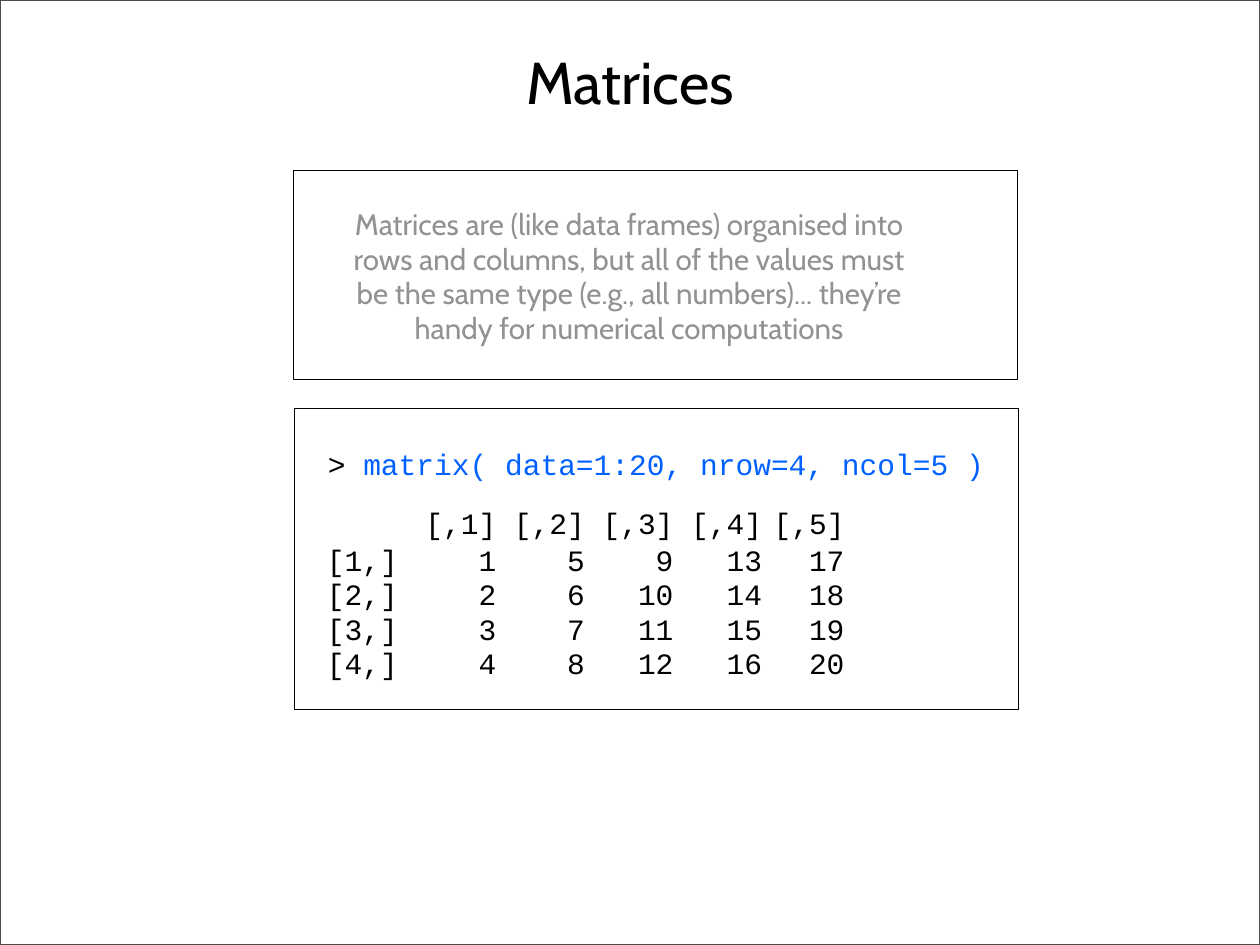
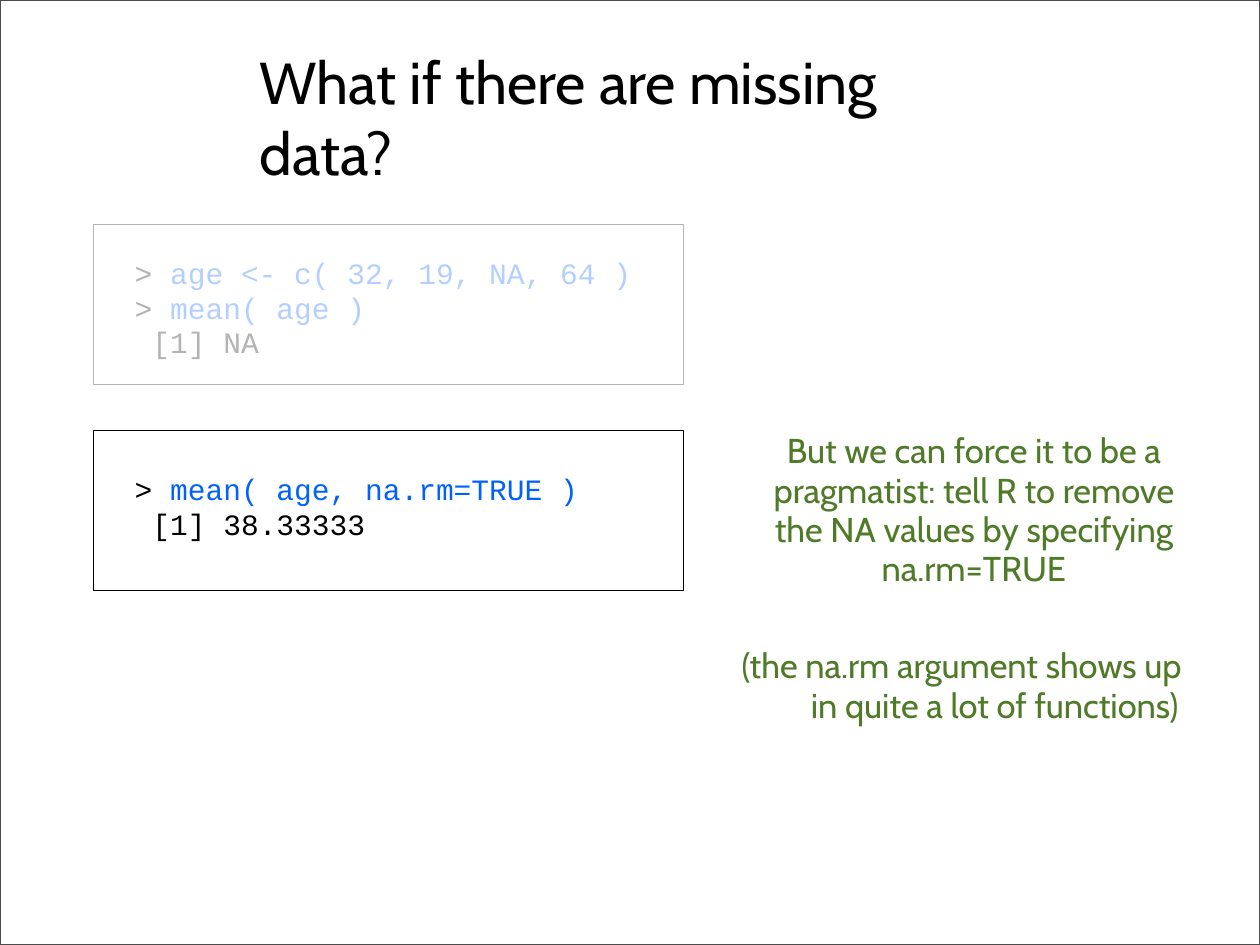
from lxml.etree import SubElement
from pptx import Presentation
from pptx.dml.color import RGBColor
from pptx.enum.shapes import MSO_SHAPE
from pptx.enum.text import PP_ALIGN
from pptx.oxml.ns import qn
from pptx.util import Inches, Pt

COLOURS = {
    "ink": "000000",
    "command": "0061FF",
    "muted": "929292",
    "note": "4F7A28",
    "edge": "4C4C4C",
    "paper": "FFFFFF",
}
BODY_FONT = "Cabin"
CODE_FONT = "Courier New"
WIDTH, HEIGHT = 14.22, 10.67


class Deck:
    """Hold the lecture style and the slide being built."""

    def __init__(self):
        self.presentation = Presentation()
        self.presentation.slide_width = Inches(WIDTH)
        self.presentation.slide_height = Inches(HEIGHT)
        self.slide = None

    def new_slide(self, title, align=PP_ALIGN.LEFT, left=2.93):
        self.slide = self.presentation.slides.add_slide(self.presentation.slide_layouts[6])
        self.frame(0, 0, WIDTH, HEIGHT, "edge", 1)
        self.text(left, 0.51, 8.2, 0.81, title, 48, "ink", align)

    def frame(self, left, top, width, height, colour="ink", weight=0.75):
        frame = self.rectangle(left, top, width, height)
        frame.fill.background()
        frame.line.color.rgb = RGBColor.from_string(COLOURS[colour])
        frame.line.width = Pt(weight)

    def veil(self, left, top, width, height, opacity):
        veil = self.rectangle(left, top, width, height)
        veil.fill.solid()
        veil.fill.fore_color.rgb = RGBColor.from_string(COLOURS["paper"])
        veil.line.fill.background()
        tint = veil.fill._xPr.find(qn("a:solidFill"))[0]
        SubElement(tint, qn("a:alpha"), val=str(opacity * 1000))

    def rectangle(self, left, top, width, height):
        rectangle = self.slide.shapes.add_shape(
            MSO_SHAPE.RECTANGLE, Inches(left), Inches(top), Inches(width), Inches(height))
        rectangle.shadow.inherit = False
        return rectangle

    def text_frame(self, left, top, width, height):
        box = self.slide.shapes.add_textbox(
            Inches(left), Inches(top), Inches(width), Inches(height))
        text_frame = box.text_frame
        text_frame.word_wrap = True
        text_frame.margin_left = text_frame.margin_right = 0
        text_frame.margin_top = text_frame.margin_bottom = 0
        return text_frame

    def style(self, run, size, colour, font):
        run.font.size = Pt(size)
        run.font.name = font
        run.font.color.rgb = RGBColor.from_string(COLOURS[colour])

    def text(self, left, top, width, height, words, size, colour,
             align=PP_ALIGN.LEFT, spacing=None, hanging=0):
        paragraph = self.text_frame(left, top, width, height).paragraphs[0]
        paragraph.text = words
        paragraph.alignment = align
        if spacing:
            paragraph.line_spacing = Pt(spacing)
        if hanging:
            properties = paragraph._p.get_or_add_pPr()
            properties.set("marL", str(Inches(hanging)))
            properties.set("indent", str(-Inches(hanging)))
        for run in paragraph.runs:
            self.style(run, size, colour, BODY_FONT)

    def code(self, left, top, width, height, lines, spacing=None):
        text_frame = self.text_frame(left, top, width, height)
        for number, line in enumerate(lines):
            paragraph = text_frame.add_paragraph() if number else text_frame.paragraphs[0]
            if spacing:
                paragraph.line_spacing = Pt(spacing)
            is_command = line.startswith("> ")
            paragraph.text = line[:2] if is_command else line
            self.style(paragraph.runs[0], 24, "ink", CODE_FONT)
            if is_command:
                command = paragraph.add_run()
                command.text = line[2:]
                self.style(command, 24, "command", CODE_FONT)

    def table(self, left, top, column_widths, row_heights, rows):
        shape = self.slide.shapes.add_table(
            len(rows), len(column_widths), Inches(left), Inches(top),
            Inches(sum(column_widths)), Inches(sum(row_heights)))
        table = shape.table
        table.first_row = table.horz_banding = False
        for column, width in zip(table.columns, column_widths):
            column.width = Inches(width)
        for row, height, values in zip(table.rows, row_heights, rows):
            row.height = Inches(height)
            for position, (cell, value) in enumerate(zip(row.cells, values)):
                cell.fill.background()
                cell.margin_left = Inches(0 if position else 0.02)
                cell.margin_right = cell.margin_top = cell.margin_bottom = 0
                paragraph = cell.text_frame.paragraphs[0]
                paragraph.text = value
                paragraph.alignment = PP_ALIGN.RIGHT if position else PP_ALIGN.LEFT
                if values is not rows[0]:
                    paragraph.line_spacing = Pt(25.9)
                for run in paragraph.runs:
                    self.style(run, 24, "ink", CODE_FONT)


def matrices(deck):
    deck.new_slide("Matrices", PP_ALIGN.CENTER, 3.01)
    deck.frame(3.31, 1.93, 8.17, 2.36)
    definition = ("Matrices are (like data frames) organised into\v"
                  "rows and columns, but all of the values must\v"
                  "be the same type (e.g., all numbers)... they’re\v"
                  "handy for numerical computations")
    deck.text(3.8, 2.34, 6.6, 1.56, definition, 24, "muted", PP_ALIGN.CENTER, 28)
    deck.frame(3.32, 4.61, 8.17, 3.4)
    deck.code(3.7, 5.04, 7.7, 0.42, ["> matrix( data=1:20, nrow=4, ncol=5 )"])
    row_count, column_count = 4, 5
    header = [""] + [f"[,{column}]" for column in range(1, column_count + 1)]
    body = [[f"[{row},]"] + [str(row + row_count * step) for step in range(column_count)]
            for row in range(1, row_count + 1)]
    deck.table(3.67, 5.76, [0.93, 1, 1, 1, 1, 0.93],
               [0.43, 0.39, 0.39, 0.39, 0.43], [header] + body)


def missing_data(deck):
    deck.new_slide("What if there are missing data?")
    deck.frame(1.06, 2.53, 6.65, 1.81)
    deck.code(1.52, 2.88, 6.1, 1.2,
              ["> age <- c( 32, 19, NA, 64 )", "> mean( age )", " [1] NA"], 28.4)
    deck.veil(0.42, 2.17, 8.83, 2.25, 70)
    deck.frame(1.06, 4.86, 6.65, 1.81)
    deck.code(1.52, 5.33, 6.1, 0.8, ["> mean( age, na.rm=TRUE )", " [1] 38.33333"], 28)
    advice = ("But we can force it to be a\vpragmatist: tell R to remove\v"
              "the NA values by specifying\vna.rm=TRUE")
    deck.text(8.48, 4.87, 5.02, 1.78, advice, 28, "note", PP_ALIGN.CENTER, 32)
    aside = "(the na.rm argument shows up\vin quite a lot of functions)"
    deck.text(8.37, 7.3, 5.25, 0.89, aside, 28, "note", spacing=32, hanging=0.78)


def main():
    deck = Deck()
    matrices(deck)
    missing_data(deck)
    deck.presentation.save("out.pptx")


if __name__ == "__main__":
    main()
